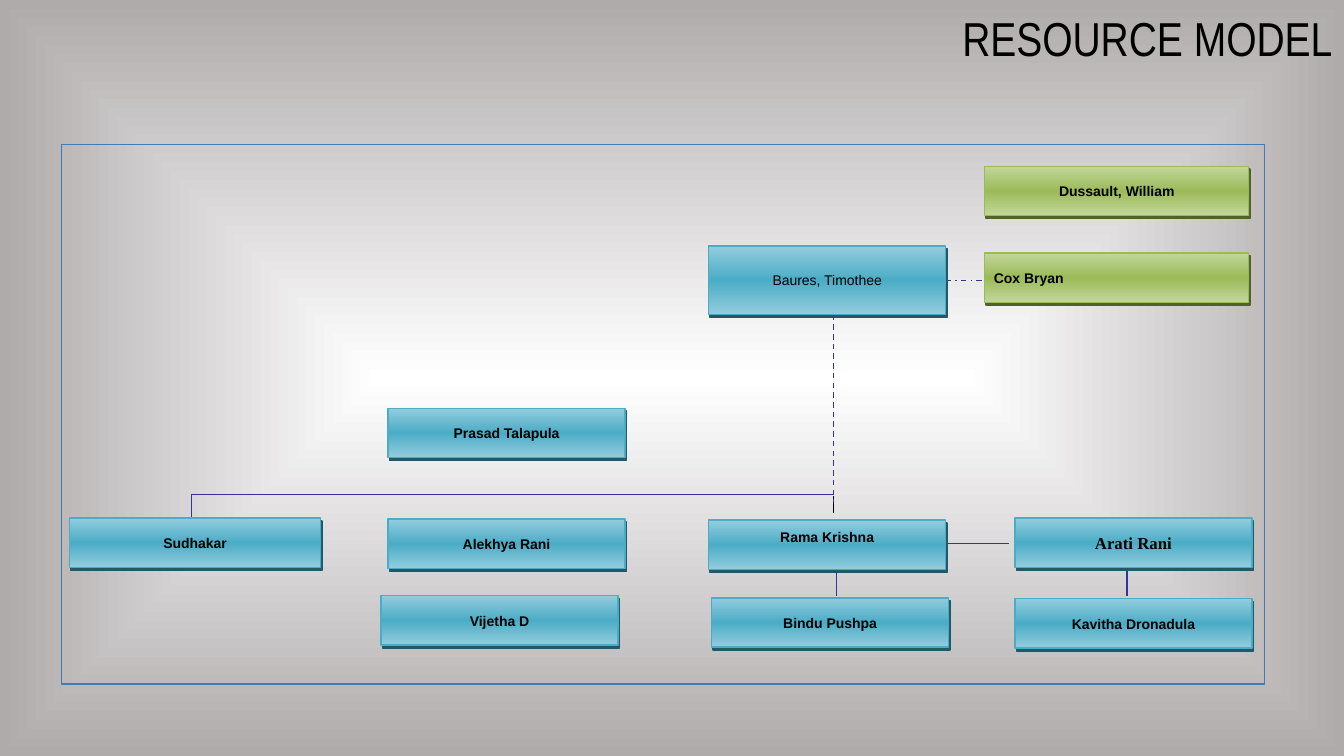
from dataclasses import dataclass

from lxml.etree import SubElement
from pptx import Presentation
from pptx.dml.color import RGBColor
from pptx.enum.dml import MSO_LINE
from pptx.enum.shapes import MSO_CONNECTOR, MSO_SHAPE
from pptx.enum.text import MSO_ANCHOR, PP_ALIGN
from pptx.oxml.ns import qn
from pptx.util import Pt


@dataclass(frozen=True)
class Theme:
    # Each box palette: outer tint, middle and edge, shadow
    blue: tuple = ("93CDDD", "4BACC6", "215968")
    green: tuple = ("C3D69B", "9BBB59", "4F6228")
    page: tuple = ("FFFFFF", "AFABAB")
    frame: str = "457AB9"
    link: str = "333399"
    ink: str = "000000"
    head: str = "Arial Narrow"
    body: str = "Arial"
    serif: str = "Times New Roman"
    title: int = 34
    name: int = 10
    large: int = 12


def rgb(code):
    return RGBColor.from_string(code)


def add(parent, tag, **attrs):
    return SubElement(parent, qn(tag), {k: str(v) for k, v in attrs.items()})


class Chart:
    def __init__(self, slide, theme):
        self.slide, self.theme = slide, theme

    def blend(self, root, fill, colors, center=False):
        """Evenly spaced gradient, vertical or from the center."""
        fill.gradient()
        grad = root.find(".//" + qn("a:gradFill"))
        for child in list(grad):
            grad.remove(child)
        stops = add(grad, "a:gsLst")
        for i, color in enumerate(colors):
            stop = add(stops, "a:gs", pos=100000 * i // (len(colors) - 1))
            add(stop, "a:srgbClr", val=color)
        if center:
            shade = add(grad, "a:path", path="rect")
            add(shade, "a:fillToRect", l=50000, t=50000, r=50000, b=50000)
        else:
            add(grad, "a:lin", ang=5400000, scaled=0)

    def page(self):
        self.blend(self.slide.element, self.slide.background.fill,
                   self.theme.page, center=True)

    def label(self, frame, text, size, font, align, bold=False):
        frame.word_wrap = True
        frame.vertical_anchor = MSO_ANCHOR.MIDDLE
        par = frame.paragraphs[0]
        par.text, par.alignment = text, align
        par.font.size, par.font.name, par.font.bold = Pt(size), font, bold
        par.font.color.rgb = rgb(self.theme.ink)
        return par

    def title(self, text, x, y, w, h):
        box = self.slide.shapes.add_textbox(Pt(x), Pt(y), Pt(w), Pt(h))
        par = self.label(box.text_frame, text, self.theme.title,
                         self.theme.head, PP_ALIGN.RIGHT)
        par.line_spacing = 0.9

    def rect(self, x, y, w, h, edge, width):
        shape = self.slide.shapes.add_shape(
            MSO_SHAPE.RECTANGLE, Pt(x), Pt(y), Pt(w), Pt(h))
        shape.shadow.inherit = False
        shape.line.color.rgb = rgb(edge)
        shape.line.width = Pt(width)
        return shape

    def frame(self, x, y, w, h):
        self.rect(x, y, w, h, self.theme.frame, 0.75).fill.background()

    def box(self, text, x, y, w=169.2, h=35.3, hue=None, bold=True, size=None,
            font=None, align=PP_ALIGN.CENTER, foot=3):
        tint, mid, dark = hue or self.theme.blue
        shape = self.rect(x, y, w, h, mid, 1)
        self.blend(shape.element, shape.fill, (tint, mid, tint))
        effects = shape.element.spPr.find(qn("a:effectLst"))
        shadow = add(effects, "a:outerShdw", blurRad=0, dist=int(Pt(2.2)),
                     dir=63 * 60000, algn="ctr", rotWithShape=0)
        add(shadow, "a:srgbClr", val=dark)
        frame = shape.text_frame
        frame.margin_left = frame.margin_right = Pt(6.5)
        frame.margin_top, frame.margin_bottom = Pt(3), Pt(foot)
        self.label(frame, text, size or self.theme.name,
                   font or self.theme.body, align, bold)
        return shape

    def link(self, x1, y1, x2, y2, color=None, dash=None):
        line = self.slide.shapes.add_connector(
            MSO_CONNECTOR.STRAIGHT, Pt(x1), Pt(y1), Pt(x2), Pt(y2))
        line.line.color.rgb = rgb(color or self.theme.link)
        line.line.width = Pt(1)
        if dash:
            line.line.dash_style = dash
        add(line.element.spPr, "a:effectLst")
        return line


def main():
    deck = Presentation()
    deck.slide_width, deck.slide_height = Pt(960), Pt(540)
    theme = Theme()
    chart = Chart(deck.slides.add_slide(deck.slide_layouts[6]), theme)

    # Page, title and frame
    chart.page()
    chart.title("RESOURCE MODEL", 131, 0, 828, 58.3)
    chart.frame(43.9, 103, 859.7, 385.6)

    # Lead and the dotted link to the sponsors
    side = chart.link(675.4, 200.2, 725, 200.2, dash=MSO_LINE.DASH_DOT)
    lead = chart.box("Baures, Timothee", 506.2, 175.7, h=49, bold=False)
    side.begin_connect(lead, 3)

    # Sponsors
    chart.box("Dussault, William", 703.4, 118.8, 188.6, hue=theme.green)
    chart.box("Cox Bryan", 703.4, 180.7, 188.6, hue=theme.green,
              align=PP_ALIGN.JUSTIFY)

    # Team
    chart.box("Prasad Talapula", 277.2, 291.6)
    chart.box("Sudhakar", 49.7, 370.1, 179.3)
    chart.box("Alekhya Rani", 277.2, 370.8)
    chart.box("Rama Krishna", 506.2, 371.5, foot=14.5)
    chart.box("Arati Rani", 725, 370.1, size=theme.large, font=theme.serif)
    chart.box("Vijetha D", 272.2, 425.5)
    chart.box("Bindu Pushpa", 508.3, 427)
    chart.box("Kavitha Dronadula", 725, 427.7)

    # Reporting lines
    chart.link(136.8, 353.2, 595.4, 353.2)
    chart.link(136.8, 353.2, 136.8, 369.4)
    chart.link(595.4, 354.2, 595.4, 366.5, color=theme.ink)
    chart.link(595.4, 224.7, 595.4, 358.6, dash=MSO_LINE.DASH)
    chart.link(676.8, 388.1, 720.7, 388.1)
    for x in (597.6, 805):
        chart.link(x, 408.2, x, 425.5)

    deck.save("out.pptx")


if __name__ == "__main__":
    main()
